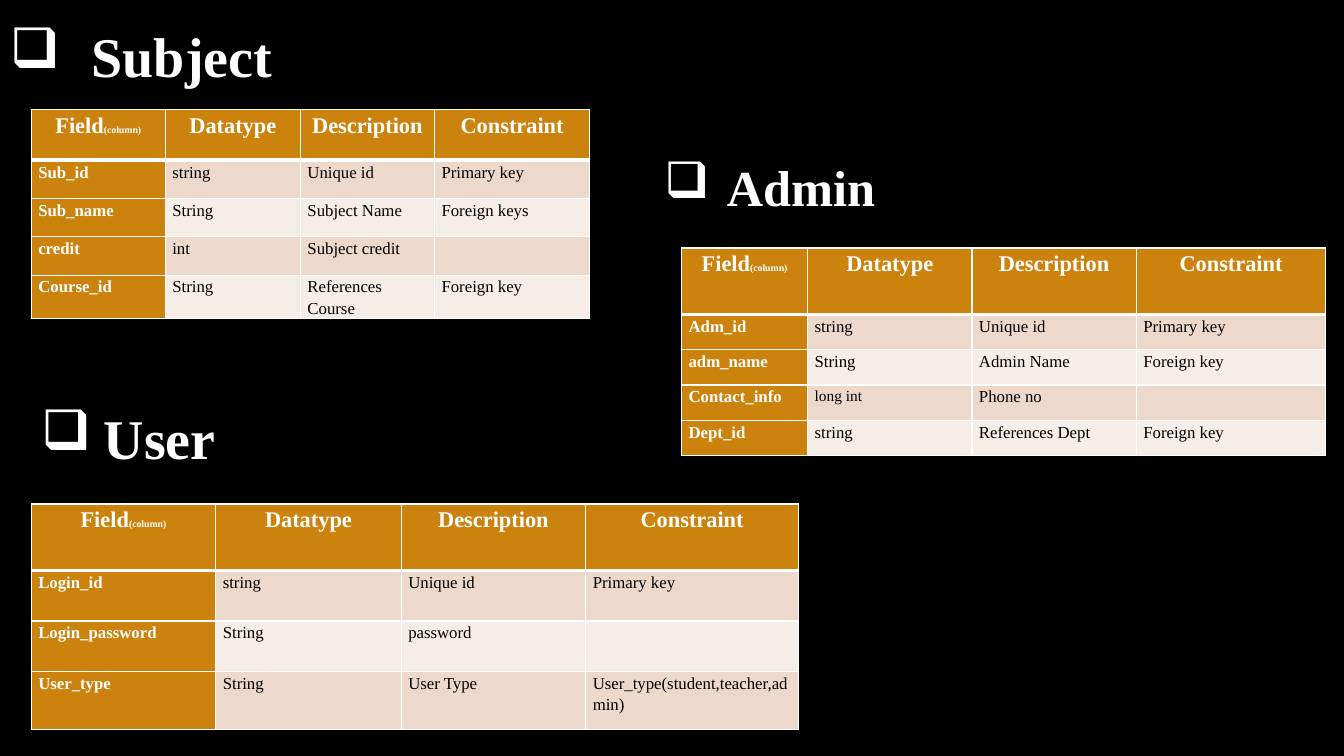
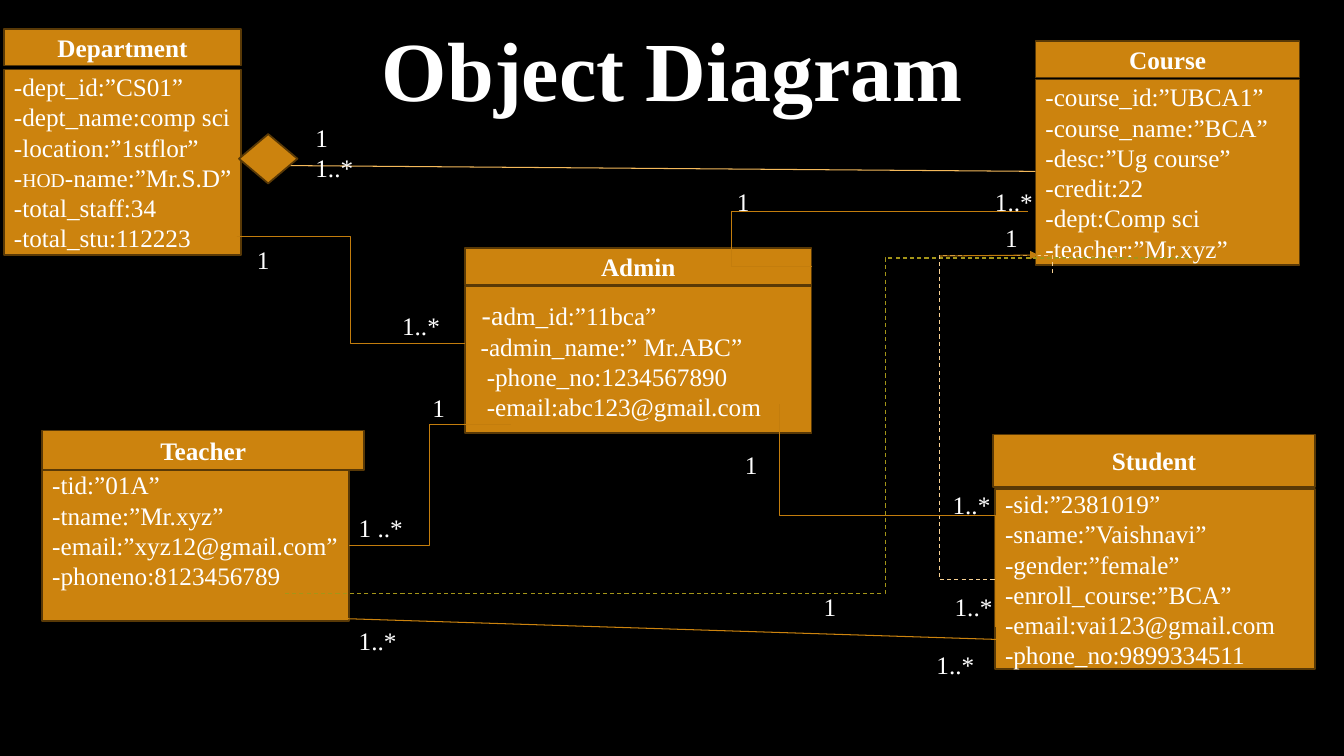
from pptx import Presentation
from pptx.dml.color import RGBColor
from pptx.enum.dml import MSO_LINE
from pptx.enum.shapes import MSO_CONNECTOR, MSO_SHAPE
from pptx.enum.text import MSO_ANCHOR, PP_ALIGN
from pptx.oxml.ns import qn
from pptx.util import Pt
from lxml import etree

PX = 9144  # EMU in one px, 100 px to the inch
FONT = "Times New Roman"
BLACK = RGBColor(0x00, 0x00, 0x00)
WHITE = RGBColor(0xFF, 0xFF, 0xFF)
ORANGE = RGBColor(0xCC, 0x83, 0x0E)
BROWN = RGBColor(0x59, 0x39, 0x06)
BAND_DARK = RGBColor(0xEC, 0xD9, 0xCC)
BAND_LIGHT = RGBColor(0xF6, 0xED, 0xE7)
LINK = RGBColor(0xC3, 0x7D, 0x0D)
OLIVE = RGBColor(0xA4, 0x95, 0x18)
CREAM = RGBColor(0xF7, 0xD0, 0x92)
AMBER = RGBColor(0xF4, 0xB9, 0x5B)

HEADERS = ("Field", "Datatype", "Description", "Constraint")


def px(*lengths):
    return [round(n * PX) for n in lengths]


class Deck:
    def __init__(self):
        self.prs = Presentation()
        self.prs.slide_width, self.prs.slide_height = px(1333, 750)
        self.s = None

    def slide(self):
        self.s = self.prs.slides.add_slide(self.prs.slide_layouts[6])
        fill = self.s.background.fill
        fill.solid()
        fill.fore_color.rgb = BLACK

    def style(self, p, size, color=WHITE, bold=False):
        p.font.name = FONT
        p.font.size = Pt(size)
        p.font.bold = bold
        p.font.color.rgb = color

    # Text
    def text(self, x, y, w, h, lines, size=18, bold=False):
        tf = self.s.shapes.add_textbox(*px(x, y, w, h)).text_frame
        tf.word_wrap = True
        tf.text = lines
        for p in tf.paragraphs:
            self.style(p, size, bold=bold)
        return tf

    def label(self, x, y, lines):
        self.text(x, y, 100, 40, lines)

    def bullet_title(self, x, y, w, h, title, size, indent):
        tf = self.text(x, y, w, h, title, size, True)
        tf.vertical_anchor = MSO_ANCHOR.MIDDLE
        pPr = tf.paragraphs[0]._p.get_or_add_pPr()
        pPr.set("marL", str(indent * PX))
        pPr.set("indent", str(-indent * PX))
        pPr.insert(0, etree.Element(qn("a:buChar"), char="❑"))

    # Tables
    def cell(self, cell, text, size, color, bold, fill, bottom=1):
        cell.margin_left, cell.margin_right = px(7, 7)
        cell.margin_top = cell.margin_bottom = 0
        tcPr = cell._tc.get_or_add_tcPr()
        for side, width in (("L", 1), ("R", 1), ("T", 1), ("B", bottom)):
            ln = etree.SubElement(tcPr, qn("a:ln" + side), w=str(Pt(width)))
            solid = etree.SubElement(ln, qn("a:solidFill"))
            etree.SubElement(solid, qn("a:srgbClr"), val=str(WHITE))
        cell.fill.solid()
        cell.fill.fore_color.rgb = fill
        p = cell.text_frame.paragraphs[0]
        p.text = text
        p.line_spacing = 1.15
        self.style(p, size, color, bold)
        return p

    def table(self, x, y, cols, heights, rows):
        frame = self.s.shapes.add_table(
            len(heights), len(cols), *px(x, y, sum(cols), sum(heights)))
        table = frame.table
        table.first_col = True
        for col, width in zip(table.columns, px(*cols)):
            col.width = width
        for row, height in zip(table.rows, px(*heights)):
            row.height = height
        for c, header in enumerate(HEADERS):
            p = self.cell(table.cell(0, c), header, 16, WHITE, True, ORANGE, 3)
            p.alignment = PP_ALIGN.CENTER
            if c == 0:
                r = p.add_run()
                r.text = "(column)"
                r.font.size = Pt(7)
        for i, row in enumerate(rows, 1):
            band = BAND_DARK if i % 2 else BAND_LIGHT
            for c, value in enumerate(row):
                first = c == 0
                self.cell(table.cell(i, c), value,
                          11 if value == "long int" else 12,
                          WHITE if first else BLACK, first,
                          ORANGE if first else band)

    # Diagram boxes
    def box(self, x, y, w, h, lines="", bold=False, align=PP_ALIGN.LEFT,
            kind=MSO_SHAPE.RECTANGLE, right=10, bottom=5):
        sp = self.s.shapes.add_shape(kind, *px(x, y, w, h))
        sp.shadow.inherit = False
        sp.fill.solid()
        sp.fill.fore_color.rgb = ORANGE
        sp.line.color.rgb = BROWN
        sp.line.width = Pt(1.25)
        tf = sp.text_frame
        tf.vertical_anchor = MSO_ANCHOR.MIDDLE
        tf.margin_right, tf.margin_bottom = px(right, bottom)
        tf.text = lines
        for p in tf.paragraphs:
            p.alignment = align
            self.style(p, 18, bold=bold)
        return tf

    def name_box(self, x, y, w, h, name):
        self.box(x, y, w, h, name, True, PP_ALIGN.CENTER)

    # Connectors
    def line(self, x1, y1, x2, y2, color, kind=MSO_CONNECTOR.STRAIGHT,
             dash=False, arrow=False):
        cxn = self.s.shapes.add_connector(kind, *px(x1, y1, x2, y2))
        cxn.line.color.rgb = color
        cxn.line.width = Pt(0.75)
        if dash:
            cxn.line.dash_style = MSO_LINE.DASH
        if arrow:
            etree.SubElement(cxn.line._get_or_add_ln(), qn("a:tailEnd"),
                             type="triangle")
        etree.SubElement(cxn._element.spPr, qn("a:effectLst"))
        return cxn

    def elbow(self, x1, y1, x2, y2, color=LINK, bends=(50,), dash=False,
              upright=False):
        """Bends are percents of the way; upright leaves the start vertically."""
        turn = 0
        if upright:
            turn = 90 if x2 < x1 else 270
            side = 1 if x2 < x1 else -1
            cx, cy = (x1 + x2) / 2, (y1 + y2) / 2
            run, rise = side * (y2 - y1) / 2, abs(x2 - x1) / 2
            x1, y1, x2, y2 = cx - run, cy - rise, cx + run, cy + rise
        cxn = self.line(x1, y1, x2, y2, color, MSO_CONNECTOR.ELBOW, dash)
        spPr = cxn._element.spPr
        if turn:
            spPr.find(qn("a:xfrm")).set("rot", str(turn * 60000))
        geom = spPr.find(qn("a:prstGeom"))
        geom.set("prst", f"bentConnector{len(bends) + 2}")
        guides = geom.find(qn("a:avLst"))
        if guides is None:
            guides = etree.SubElement(geom, qn("a:avLst"))
        for i, bend in enumerate(bends, 1):
            etree.SubElement(guides, qn("a:gd"), name=f"adj{i}",
                             fmla=f"val {round(bend * 1000)}")


def tables_slide(deck):
    deck.slide()
    deck.table(31, 109, (133, 134, 133, 154), (50, 38, 38, 38, 43), (
        ("Sub_id", "string", "Unique id", "Primary key"),
        ("Sub_name", "String", "Subject Name", "Foreign keys"),
        ("credit", "int", "Subject credit", ""),
        ("Course_id", "String", "References Course", "Foreign key")))
    deck.table(676, 246, (125, 163, 163, 188), (66, 35, 35, 35, 35), (
        ("Adm_id", "string", "Unique id", "Primary key"),
        ("adm_name", "String", "Admin Name", "Foreign key"),
        ("Contact_info", "long int", "Phone no", ""),
        ("Dept_id", "string", "References Dept", "Foreign key")))
    deck.table(31, 500, (183, 184, 183, 211), (66, 50, 50, 58), (
        ("Login_id", "string", "Unique id", "Primary key"),
        ("Login_password", "String", "password", ""),
        ("User_type", "String", "User Type",
         "User_type(student,teacher,admin)")))
    deck.bullet_title(0, 16, 359, 77, "Subject", 40, 81)
    deck.bullet_title(649, 149, 600, 71, "Admin", 36, 62)
    deck.bullet_title(31, 395, 300, 77, "User", 40, 62)


def diagram_slide(deck):
    deck.slide()
    # Class names
    deck.name_box(985, 431, 319, 52, "Student")
    deck.name_box(4, 29, 235, 36, "Department")
    deck.name_box(1027, 41, 262, 36, "Course")
    deck.name_box(42, 427, 319, 39, "Teacher")
    deck.name_box(461, 246, 344, 37, "Admin")

    # Class attributes
    department = deck.box(
        4, 69, 235, 184,
        "-dept_id:”CS01”\n-dept_name:comp sci\n-location:”1stflor”\n-\n"
        "-total_staff:34\n-total_stu:112223", right=0)
    p = department.paragraphs[3]
    for text, size in (("HOD", 14), ("-name:”Mr.S.D”", 18)):
        r = p.add_run()
        r.text = text
        r.font.size = Pt(size)
    admin = deck.box(
        461, 284, 344, 146,
        "-a\n-admin_name:” Mr.ABC”\n-phone_no:1234567890\n"
        "-email:abc123@gmail.com")
    for p, indent in zip(admin.paragraphs, (7, 6, 12, 12)):
        p._p.get_or_add_pPr().set("marL", str(indent * PX))
    p = admin.paragraphs[0]
    p.runs[0].font.size = Pt(20)
    p.add_run().text = "dm_id:”11bca”"
    deck.box(1027, 79, 262, 184,
             "-course_id:”UBCA1”\n-course_name:”BCA”\n-desc:”Ug course”\n"
             "-credit:22\n-dept:Comp sci\n-teacher:”Mr.xyz”")
    deck.box(42, 466, 304, 150,
             "-tid:”01A”\n-tname:”Mr.xyz”\n-email:”xyz12@gmail.com”\n"
             "-phoneno:8123456789", right=0, bottom=35)
    deck.box(987, 485, 317, 179,
             "-sid:”2381019”\n-sname:”Vaishnavi”\n-gender:”female”\n"
             "-enroll_course:”BCA”\n-email:vai123@gmail.com\n"
             "-phone_no:9899334511")

    # Relations
    deck.elbow(1179, 256, 283, 589, OLIVE, (33.6,), dash=True)
    deck.elbow(1044, 271, 987, 575, CREAM, (-5.7, 197), dash=True, upright=True)
    deck.line(1027, 170, 251, 164, AMBER, arrow=True)
    deck.box(237, 133, 58, 49, kind=MSO_SHAPE.FLOWCHART_DECISION)
    deck.line(287, 612, 1009, 635, ORANGE)
    deck.elbow(235, 235, 461, 341)
    deck.elbow(346, 541, 507, 421)
    deck.elbow(805, 264, 1020, 210, bends=(-37,))
    deck.elbow(773, 401, 987, 622, upright=True)
    deck.line(932, 254, 1030, 253, LINK, arrow=True)

    # Multiplicities
    for x, y, lines in (
            (807, 582, "1"), (937, 582, "1..*"), (721, 180, "1"),
            (977, 180, "1..*"), (987, 216, "1"), (245, 237, "1"),
            (919, 639, "1..*"), (346, 503, "1 ..*"), (303, 116, "1\n1..*"),
            (346, 615, "1..*"), (389, 303, "1..*"), (419, 384, "1"),
            (729, 441, "1"), (935, 481, "1..*")):
        deck.label(x, y, lines)
    deck.text(369, 12, 781, 111, "Object Diagram", 60, True)


def main():
    deck = Deck()
    tables_slide(deck)
    diagram_slide(deck)
    deck.prs.save("out.pptx")


if __name__ == "__main__":
    main()
